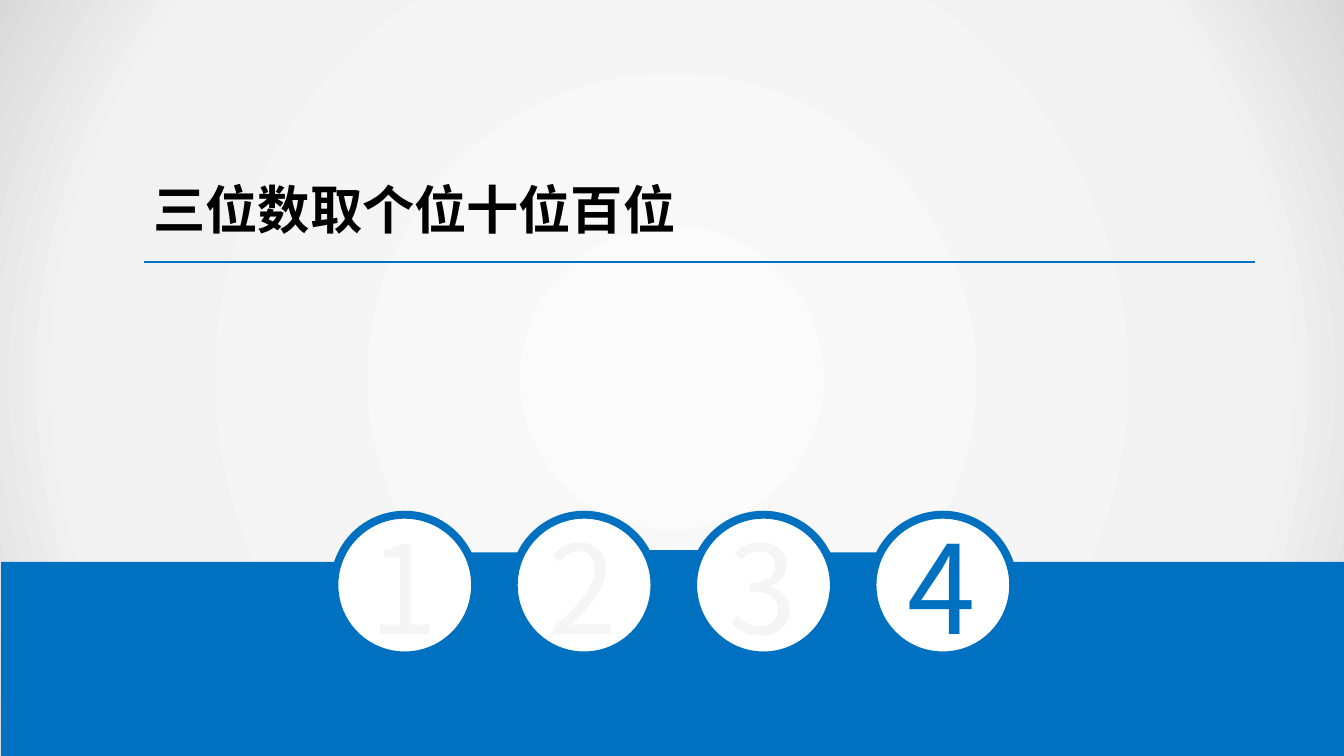
import math

from lxml import etree
from pptx import Presentation
from pptx.dml.color import RGBColor
from pptx.enum import shapes, text
from pptx.oxml import ns
from pptx.util import Cm, Pt

BLUE = RGBColor(0x00, 0x70, 0xC0)
WHITE = RGBColor(0xFF, 0xFF, 0xFF)
BLACK = RGBColor(0x00, 0x00, 0x00)
FAINT = RGBColor(0xF5, 0xF5, 0xF5)
BACKDROP_STOPS = ((0, "FBFBFB"), (79, "F2F2F2"), (100, "D9D9D9"))
FONT = "Noto Sans CJK SC"
WIDTH, HEIGHT = 25.4, 14.29


def style_span(span, size, color, bold=False):
    span.font.name = FONT
    span.font.size = Pt(size)
    span.font.bold = bold
    span.font.color.rgb = color
    east_asian = etree.SubElement(span.font._element, ns.qn("a:ea"))
    east_asian.set("typeface", FONT)


def add_filled(page, kind, left, top, width, height, color, line_width=0):
    shape = page.shapes.add_shape(kind, Cm(left), Cm(top), Cm(width), Cm(height))
    shape.shadow.inherit = False
    shape.fill.solid()
    shape.fill.fore_color.rgb = color
    if line_width:
        shape.line.color.rgb = BLUE
        shape.line.width = Pt(line_width)
    else:
        shape.line.fill.background()
    return shape


def add_backdrop(page, left, top, width, height):
    shape = add_filled(page, shapes.MSO_SHAPE.RECTANGLE, left, top, width, height, WHITE)
    # Radial gradient from the centre outwards
    gradient = etree.Element(ns.qn("a:gradFill"), rotWithShape="1")
    stops = etree.SubElement(gradient, ns.qn("a:gsLst"))
    for position, color in BACKDROP_STOPS:
        stop = etree.SubElement(stops, ns.qn("a:gs"), pos=str(position * 1000))
        etree.SubElement(stop, ns.qn("a:srgbClr"), val=color)
    focus = etree.SubElement(gradient, ns.qn("a:path"), path="circle")
    etree.SubElement(focus, ns.qn("a:fillToRect"), l="50000", t="50000", r="50000", b="50000")
    solid = shape.element.spPr.find(ns.qn("a:solidFill"))
    solid.getparent().replace(solid, gradient)
    # Behind the title
    page.shapes.title.element.addprevious(shape.element)


def add_title(page, left, top, width, height, rule_width):
    title = page.shapes.title
    title.left, title.top, title.width, title.height = map(Cm, (left, top, width, height))
    frame = title.text_frame
    frame.text = "三位数取个位十位百位"
    frame.word_wrap = True
    frame.auto_size = text.MSO_AUTO_SIZE.NONE
    frame.vertical_anchor = text.MSO_ANCHOR.MIDDLE
    frame.margin_left = frame.margin_right = Cm(0.18)
    frame.margin_top = frame.margin_bottom = Cm(0.1)
    para = frame.paragraphs[0]
    para.alignment = text.PP_ALIGN.LEFT
    style_span(para.runs[0], 28, BLACK, bold=True)

    # Rule under the title
    bottom = Cm(top + height)
    rule = page.shapes.add_connector(
        shapes.MSO_CONNECTOR.STRAIGHT, Cm(left), bottom, Cm(left + rule_width), bottom)
    rule.line.color.rgb = BLUE
    rule.line.width = Pt(1.25)
    etree.SubElement(rule.element.spPr, ns.qn("a:effectLst"))


def add_band(page, left, top, width, height):
    # Tabs that bridge the gaps between the circles
    for tab_left, tab_height, line_width in ((12.24, 0.99, 2), (15.44, 1.04, 0), (8.79, 1.04, 0)):
        add_filled(page, shapes.MSO_SHAPE.RECTANGLE, tab_left, top - 0.18, 1.19,
                   tab_height, BLUE, line_width)

    # Band with half-round notches in its upper edge
    radius = 0.42
    points = []
    for center in (9.36, 12.75, 16.15):
        for degrees in range(180, -1, -10):
            angle = math.radians(degrees)
            points.append((Cm(center + radius * math.cos(angle)),
                           Cm(top + radius * math.sin(angle))))
    right, bottom = Cm(left + width), Cm(top + height)
    points += [(right, Cm(top)), (right, bottom), (Cm(left), bottom)]
    builder = page.shapes.build_freeform(Cm(left), Cm(top))
    builder.add_line_segments(points, close=True)
    band = builder.convert_to_shape()
    band.shadow.inherit = False
    band.fill.solid()
    band.fill.fore_color.rgb = BLUE
    band.line.fill.background()


def add_steps(page, left, top, diameter, pitch, count, current):
    for index in range(count):
        add_filled(page, shapes.MSO_SHAPE.OVAL, left + index * pitch, top,
                   diameter, diameter, WHITE, 4.25)
    # Numbers, with the current step in blue
    for index in range(count):
        box = page.shapes.add_textbox(Cm(left + index * pitch + 0.41), Cm(top - 0.18),
                                      Cm(1.78), Cm(3.07))
        frame = box.text_frame
        frame.text = str(index + 1)
        frame.word_wrap = False
        frame.auto_size = text.MSO_AUTO_SIZE.SHAPE_TO_FIT_TEXT
        style_span(frame.paragraphs[0].runs[0], 66, BLUE if index + 1 == current else FAINT)


def main():
    deck = Presentation()
    deck.slide_width, deck.slide_height = Cm(WIDTH), Cm(HEIGHT)
    page = deck.slides.add_slide(deck.slide_layouts[5])
    add_backdrop(page, 0, 0, WIDTH, HEIGHT)
    add_title(page, 2.72, 2.95, 10.77, 2, rule_width=21)
    add_band(page, 0.02, 10.62, WIDTH, 3.67)
    add_steps(page, 6.32, 9.73, 2.66, pitch=3.39, count=4, current=4)
    deck.save("out.pptx")


if __name__ == "__main__":
    main()
